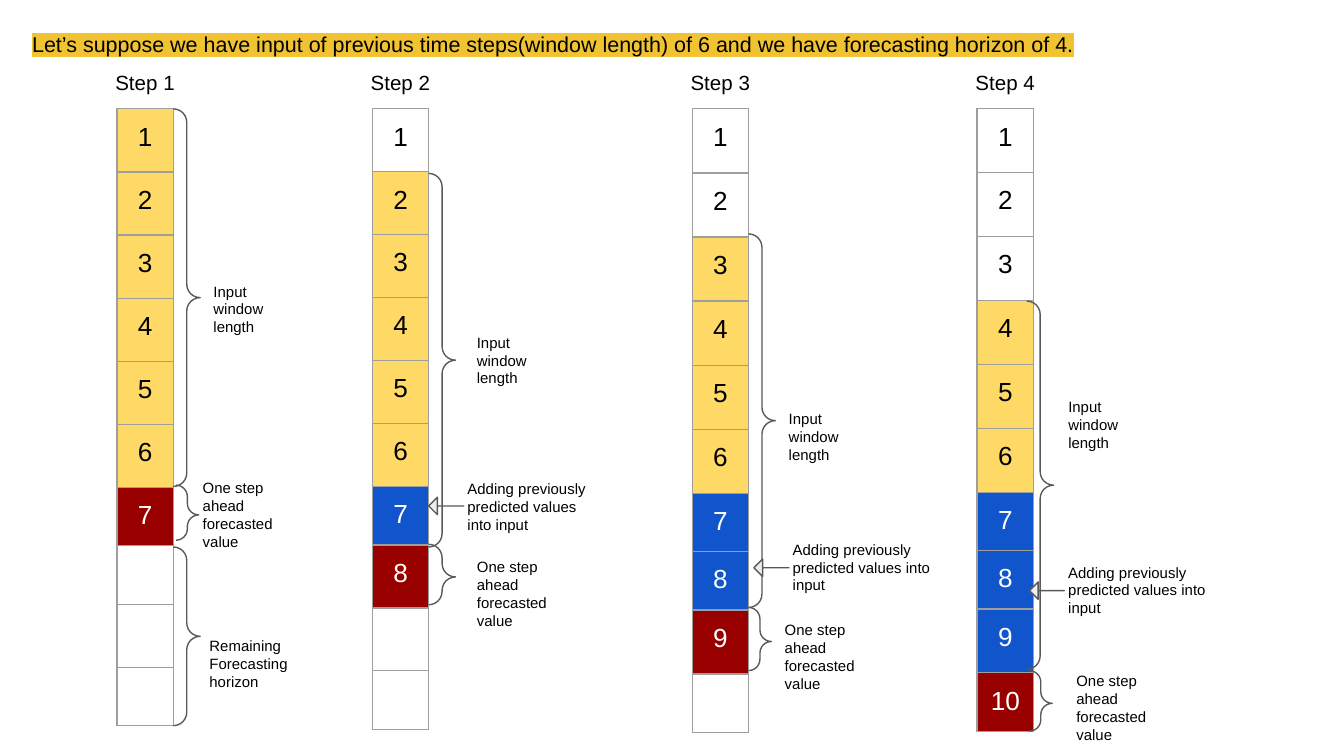
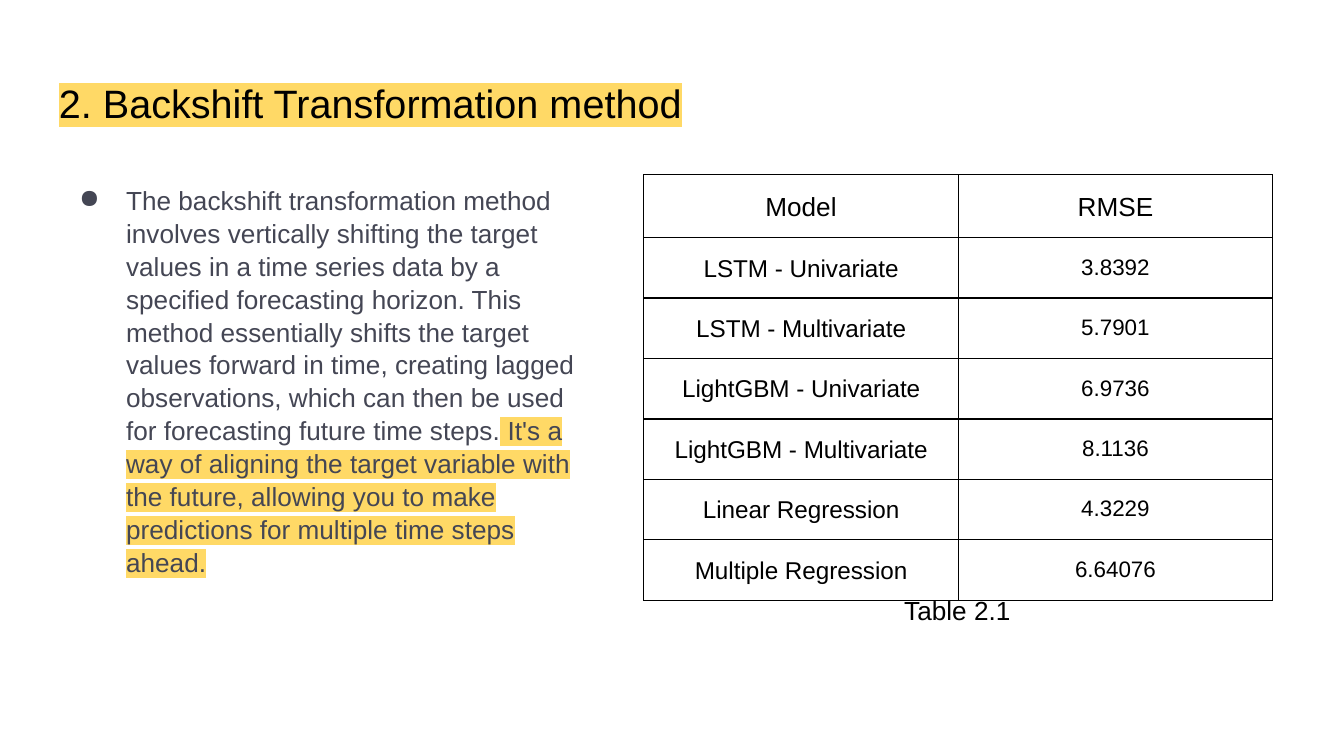
from dataclasses import dataclass
from typing import Optional

from lxml.etree import SubElement
from pptx import Presentation
from pptx.dml.color import RGBColor
from pptx.enum.shapes import MSO_SHAPE
from pptx.enum.text import MSO_ANCHOR, PP_ALIGN
from pptx.oxml.ns import qn
from pptx.util import Emu, Inches, Pt

WIDE = Inches(10)
HIGH = WIDE * 9 // 16
COLS = 100
FONT = "Arial"
BLACK, WHITE, SLATE = "000000", "FFFFFF", "444654"
AMBER, GOLD, RED, BLUE = "FFD966", "F1C232", "980000", "1155CC"
DARK, PALE, GRAY = "595959", "EEEEEE", "9E9E9E"
WINDOW = 6
TOP = 8.1
SHORT = 4.3
INPUT = "Input window length"
AHEAD = "One step ahead forecasted value"
ADDED = "Adding previously predicted values into input"
REST = "Remaining Forecasting horizon"


@dataclass(frozen=True)
class Box:
    left: float
    top: float
    wide: float
    high: float

    def place(self) -> list[Emu]:
        return [span(v) for v in (self.left, self.top, self.wide, self.high)]


@dataclass(frozen=True)
class Cell:
    text: str
    size: float
    hue: str = BLACK
    fill: Optional[str] = None


@dataclass(frozen=True)
class Step:
    left: float
    high: float
    small: tuple[int, ...]
    braces: tuple[tuple[Box, float], ...]
    notes: tuple[tuple[str, Box], ...]
    arrow: Optional[Box] = None


STEPS = (
    Step(8.7, 45.8, (7, 8, 10),
         ((Box(12.9, 8.1, 2, 28.1), 0.5), (Box(12.9, 40.7, 2, 13.3), 0.5),
          (Box(13.1, 36.1, 1.7, 4.1), 0.54)),
         ((INPUT, Box(14.9, 20, 6, 6)), (REST, Box(14.6, 46.4, 8.2, 6)),
          (AHEAD, Box(14.1, 34.6, 7.5, 8.5)))),
    Step(27.7, 46.1, (7, 10),
         ((Box(31.9, 12.9, 2, 27.8), 0.5), (Box(31.9, 40.5, 2, 4.5), 0.54)),
         ((INPUT, Box(34.5, 23.8, 6.7, 6)), (AHEAD, Box(34.5, 40.5, 7.5, 8.5)),
          (ADDED, Box(33.8, 34.7, 11.7, 6))),
         Box(31.9, 37, 2.6, 1.3)),
    Step(51.5, 46.3, (7, 8, 10),
         ((Box(55.7, 17.4, 2, 27.8), 0.5), (Box(55.7, 45.2, 1.7, 4.7), 0.54)),
         ((INPUT, Box(57.7, 29.5, 7.5, 6)), (AHEAD, Box(57.4, 45.2, 7.5, 8.5)),
          (ADDED, Box(58, 39.2, 12.4, 6))),
         Box(56.1, 41.6, 2.6, 1.3)),
    Step(72.7, 46.2, (7, 8, 10),
         ((Box(76.4, 22.4, 2, 27.4), 0.5), (Box(76.6, 49.9, 1.7, 4.5), 0.54)),
         ((INPUT, Box(78.5, 28.6, 7.5, 6)), (AHEAD, Box(79.1, 49, 7.5, 6.4)),
          (ADDED, Box(78.5, 40.9, 14, 6))),
         Box(76.6, 43.3, 2.6, 1.3)),
)

SCORES = (
    ("LSTM - Univariate", "3.8392"),
    ("LSTM - Multivariate", "5.7901"),
    ("LightGBM - Univariate", "6.9736"),
    ("LightGBM - Multivariate", "8.1136"),
    ("Linear Regression", "4.3229"),
    ("Multiple Regression", "6.64076"),
)


def span(cols: float) -> Emu:
    return Emu(round(WIDE * cols / COLS))


def tint(code: str) -> RGBColor:
    return RGBColor.from_string(code)


def write(frame, text: str, *, size: float, hue: str = BLACK,
          mark: Optional[str] = None, align=None, line=None,
          above=None, below=None) -> None:
    para = frame.paragraphs[0]
    if align is not None:
        para.alignment = align
    if line is not None:
        para.line_spacing = line
    if above is not None:
        para.space_before = Pt(above)
    if below is not None:
        para.space_after = Pt(below)
    if not text:
        SubElement(para._p, qn("a:endParaRPr"), sz=str(round(size * 100)))
        return
    run = para.add_run()
    run.text = text
    run.font.size = Pt(size)
    run.font.name = FONT
    run.font.color.rgb = tint(hue)
    if mark:
        props = run._r.get_or_add_rPr()
        glow = SubElement(props, qn("a:highlight"))
        SubElement(glow, qn("a:srgbClr"), val=mark)
        props.find(qn("a:solidFill")).addnext(glow)


def pad(item, side: float, ends: float) -> None:
    item.margin_left = item.margin_right = span(side)
    item.margin_top = item.margin_bottom = span(ends)


def label(slide, box: Box, text: str, *, anchor=MSO_ANCHOR.TOP, **form):
    frame = slide.shapes.add_textbox(*box.place()).text_frame
    frame.word_wrap = True
    frame.vertical_anchor = anchor
    pad(frame, 1, 1)
    write(frame, text, **form)
    return frame


def bullet(frame, sign: str, hue: str) -> None:
    props = frame.paragraphs[0]._p.get_or_add_pPr()
    props.set("marL", str(span(5)))
    props.set("indent", str(-span(3.5)))
    shade = SubElement(props, qn("a:buClr"))
    SubElement(shade, qn("a:srgbClr"), val=hue)
    SubElement(props, qn("a:buChar"), char=sign)


def outline(slide, kind, box: Box, first: float, second: float):
    shape = slide.shapes.add_shape(kind, *box.place())
    shape.shadow.inherit = False
    shape.adjustments[0] = first
    shape.adjustments[1] = second
    shape.fill.background()
    shape.line.color.rgb = tint(DARK)
    shape.line.width = Pt(0.75)
    return shape


def brace(slide, box: Box, peak: float) -> None:
    shape = outline(slide, MSO_SHAPE.LEFT_BRACE, box, 0.5, peak)
    shape._element.spPr.find(qn("a:xfrm")).set("flipH", "1")


def arrow(slide, box: Box) -> None:
    shape = outline(slide, MSO_SHAPE.LEFT_ARROW, box, 0, 0.5)
    shape.fill.solid()
    shape.fill.fore_color.rgb = tint(PALE)


def border(cell, hue: str) -> None:
    props = cell._tc.get_or_add_tcPr()
    for side in ("lnL", "lnR", "lnT", "lnB"):
        edge = SubElement(props, qn(f"a:{side}"), w=str(Pt(0.75)))
        SubElement(SubElement(edge, qn("a:solidFill")), qn("a:srgbClr"), val=hue)


def grid(slide, box: Box, rows: list[list[Cell]], highs: list[float],
         *, edge: str, side: float, **form) -> None:
    table = slide.shapes.add_table(len(rows), len(rows[0]), *box.place()).table
    table.first_row = table.horz_banding = False
    for row, high, cells in zip(table.rows, highs, rows):
        row.height = span(high)
        for cell, data in zip(row.cells, cells):
            pad(cell, side, 1)
            border(cell, edge)
            if data.fill:
                cell.fill.solid()
                cell.fill.fore_color.rgb = tint(data.fill)
            else:
                cell.fill.background()
            write(cell.text_frame, data.text, size=data.size, hue=data.hue,
                  align=PP_ALIGN.CENTER, **form)


def value(step: int, row: int) -> Cell:
    last = WINDOW + step
    if row > last:
        return Cell("", 14)
    if row == last:
        fill = RED
    elif row > WINDOW:
        fill = BLUE
    else:
        fill = AMBER if row >= step else None
    return Cell(str(row), 14, WHITE if row > WINDOW else BLACK, fill)


def draw(slide, order: int, step: Step) -> None:
    count = WINDOW + len(STEPS)
    tall = (step.high - SHORT * len(step.small)) / (count - len(step.small))
    places = range(1, count + 1)
    highs = [SHORT if row in step.small else tall for row in places]
    grid(slide, Box(step.left, TOP, 4.2, step.high),
         [[value(order, row)] for row in places], highs, edge=GRAY, side=1)
    label(slide, Box(step.left - 2.6, 4.8, 9.4, 2.7), f"Step {order}",
          size=11, align=PP_ALIGN.CENTER, anchor=MSO_ANCHOR.MIDDLE)
    for box, peak in step.braces:
        brace(slide, box, peak)
    for text, box in step.notes:
        label(slide, box, text, size=8)
    if step.arrow:
        arrow(slide, step.arrow)


def steps(slide) -> None:
    label(slide, Box(1.4, 1.5, 93.2, 3.3),
          "Let’s suppose we have input of previous time steps(window length) "
          "of 6 and we have forecasting horizon of 4.",
          size=11.5, mark=GOLD, line=0.95, above=12)
    for order, step in enumerate(STEPS, 1):
        draw(slide, order, step)


def method(slide) -> None:
    label(slide, Box(3.4, 4.9, 93.2, 6.3), "2. Backshift Transformation method",
          size=21.2, mark=AMBER)
    frame = label(
        slide, Box(3.4, 12.6, 41.6, 37.4),
        "The backshift transformation method involves vertically shifting the "
        "target values in a time series data by a specified forecasting "
        "horizon. This method essentially shifts the target values forward in "
        "time, creating lagged observations, which can then be used for "
        "forecasting future time steps.",
        size=14, hue=SLATE, line=1.05, above=12)
    write(frame, " It's a way of aligning the target variable with the future, "
          "allowing you to make predictions for multiple time steps ahead.",
          size=14, hue=SLATE, mark=AMBER)
    bullet(frame, "●", SLATE)
    rows = [[Cell("Model", 14), Cell("RMSE", 14)]]
    rows += [[Cell(name, 13), Cell(score, 12)] for name, score in SCORES]
    grid(slide, Box(47.9, 13, 46.8, 30.1), rows, [3.6] * len(rows),
         edge=BLACK, side=0.7, line=1.15, above=12, below=12)
    label(slide, Box(66.3, 43.2, 10.6, 3.4), "Table 2.1", size=14)


def main() -> None:
    deck = Presentation()
    deck.slide_width, deck.slide_height = WIDE, HIGH
    for build in (steps, method):
        build(deck.slides.add_slide(deck.slide_layouts[6]))
    deck.save("out.pptx")


if __name__ == "__main__":
    main()
